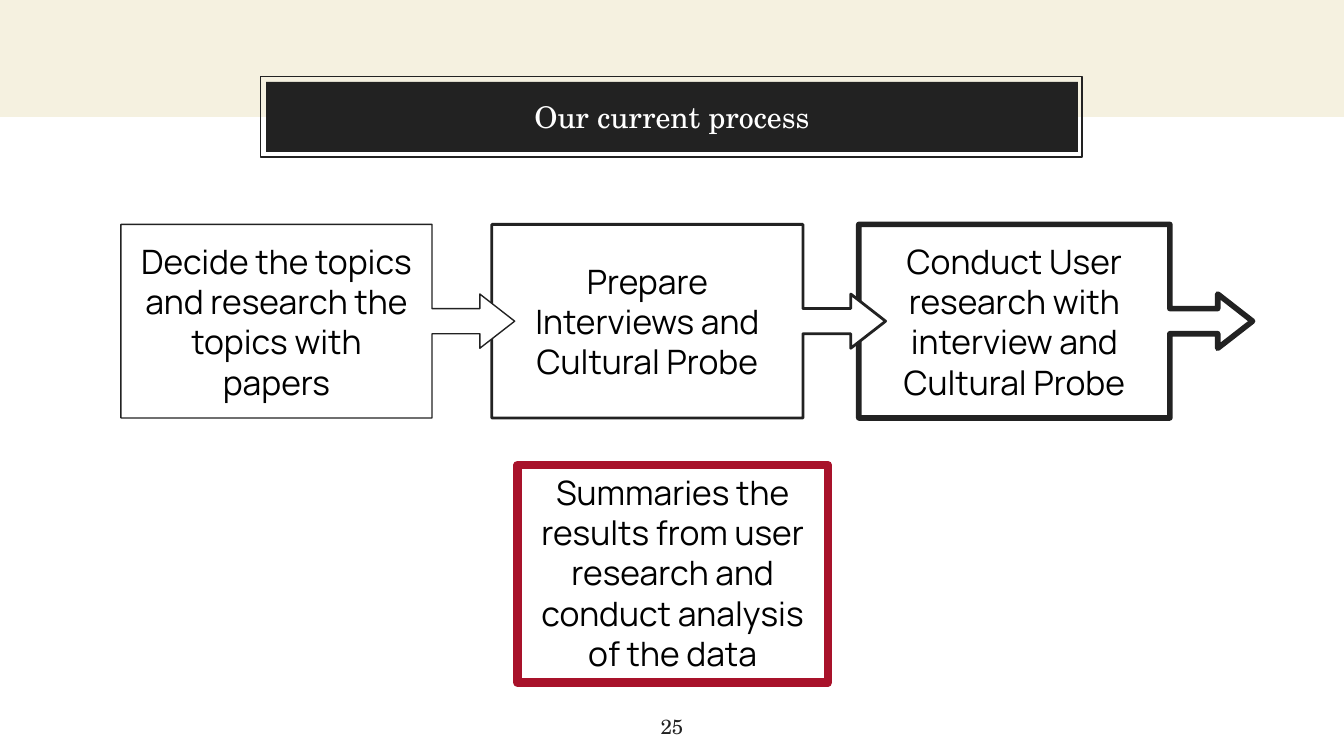
from pptx import Presentation
from pptx.dml.color import RGBColor
from pptx.enum import shapes as kinds, text as modes
from pptx.util import Inches, Pt

INK, CREAM, WHITE, BLACK, RED = "222222", "F5F1E0", "FFFFFF", "000000", "A8122A"
SANS, SERIF = "Manrope", "TeX Gyre Schola"

TITLE = "Our current process"
# left edge, line width, text
STEPS = [
    (0.9, 0.75, "Decide the topics and research the topics with papers"),
    (3.66, 1.5, "Prepare Interviews and Cultural Probe"),
    (6.39, 3, "Conduct User research with interview and Cultural Probe"),
]
RESULT = "Summaries the results from user research and conduct analysis of the data"
PAGE = "25"
ARROW = (0.13, 0.14, 0.18, 0.79)

RECT = kinds.MSO_SHAPE.RECTANGLE
CALLOUT = kinds.MSO_SHAPE.RIGHT_ARROW_CALLOUT
TOP, MID = modes.MSO_ANCHOR.TOP, modes.MSO_ANCHOR.MIDDLE


def color(code):
    return RGBColor.from_string(code)


def paint(shape, fill=None, line=None, width=0.75):
    if fill:
        shape.fill.solid()
        shape.fill.fore_color.rgb = color(fill)
    else:
        shape.fill.background()
    if line:
        shape.line.color.rgb = color(line)
        shape.line.width = Pt(width)
    else:
        shape.line.fill.background()


def draw(kind, box, **look):
    shape = slide.shapes.add_shape(kind, *map(Inches, box))
    shape.shadow.inherit = False
    paint(shape, **look)
    return shape


def write(shape, words, size, face, ink, anchor=MID, pad=0.1):
    frame = shape.text_frame
    frame.word_wrap = True
    frame.auto_size = modes.MSO_AUTO_SIZE.NONE
    frame.vertical_anchor = anchor
    frame.margin_left = frame.margin_right = Inches(0.11)
    frame.margin_top = frame.margin_bottom = Inches(pad)
    para = frame.paragraphs[0]
    para.alignment = modes.PP_ALIGN.CENTER
    run = para.add_run()
    run.text = words
    run.font.size = Pt(size)
    run.font.name = face
    run.font.color.rgb = color(ink)


deck = Presentation()
deck.slide_width, deck.slide_height = Inches(10), Inches(10 * 9 / 16)
slide = deck.slides.add_slide(deck.slide_layouts[5])

draw(RECT, (0, 0, 10, 0.87), fill=CREAM)
draw(RECT, (1.94, 0.57, 6.11, 0.6), line=INK)

title = slide.shapes.title
title.left, title.top, title.width, title.height = map(Inches, (1.98, 0.61, 6.04, 0.52))
paint(title, fill=INK)
write(title, TITLE, 16, SERIF, WHITE)
title.element.getparent().append(title.element)  # in front of the band

# Last step first, so that each arrow lies over the next box
for left, width, words in reversed(STEPS):
    step = draw(CALLOUT, (left, 1.67, 2.93, 1.44), fill=WHITE, line=INK, width=width)
    for i, value in enumerate(ARROW):
        step.adjustments[i] = value
    write(step, words, 18, SANS, BLACK)

page = slide.shapes.add_textbox(*map(Inches, (4.7, 5.21, 0.6, 0.33)))
write(page, PAGE, 11, SERIF, INK, TOP)

result = draw(RECT, (3.85, 3.46, 2.31, 1.62), line=RED, width=4.5)
write(result, RESULT, 18, SANS, BLACK, TOP, 0.05)

deck.save("out.pptx")
